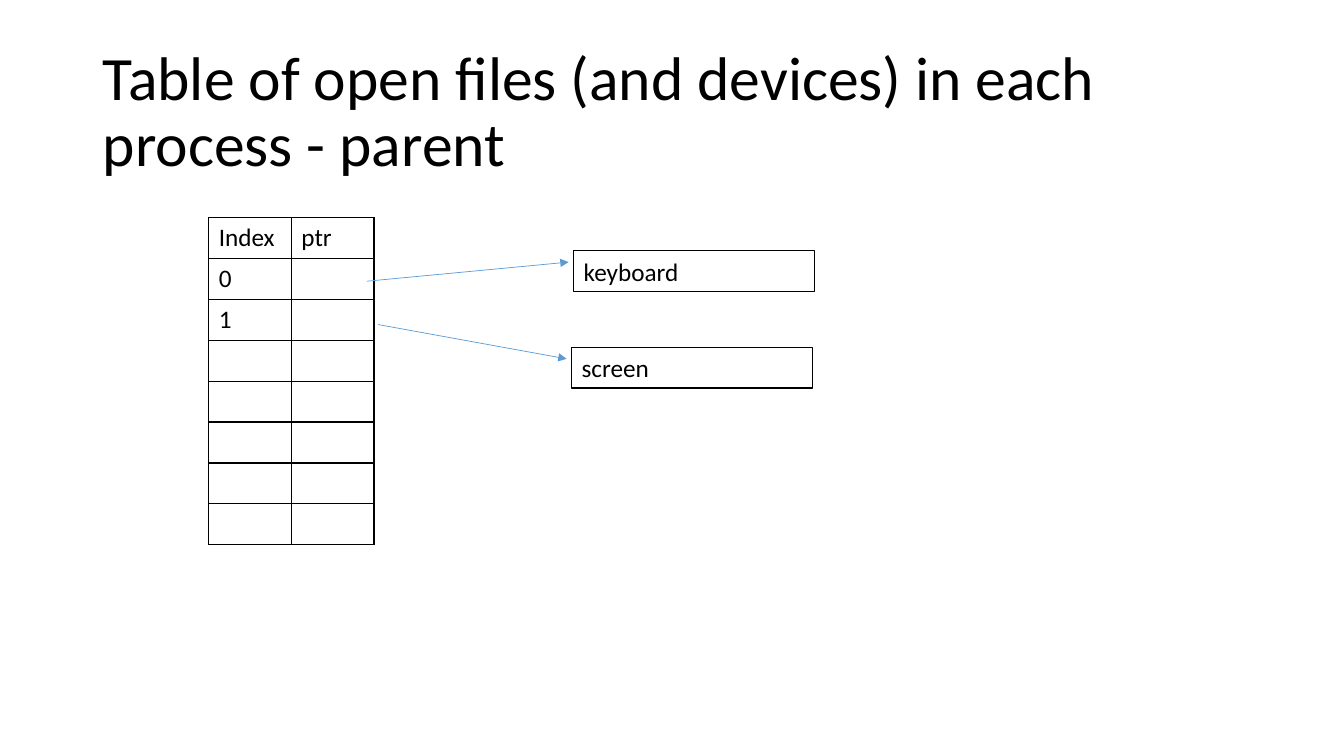
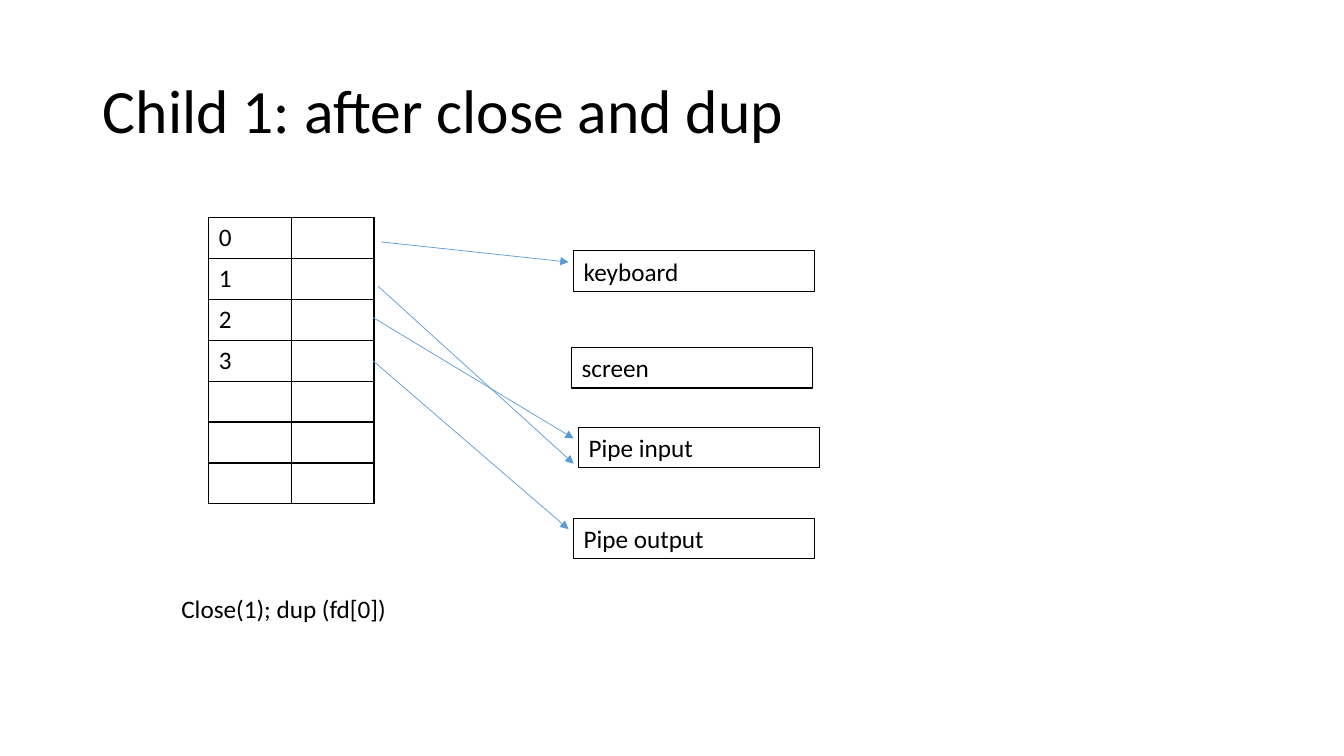
from lxml import etree
from pptx import Presentation
from pptx.dml.color import RGBColor
from pptx.enum.shapes import MSO_CONNECTOR, MSO_SHAPE
from pptx.enum.text import MSO_ANCHOR, MSO_AUTO_SIZE, PP_ALIGN
from pptx.oxml.ns import qn
from pptx.util import Inches, Pt

STRAIGHT = MSO_CONNECTOR.STRAIGHT
RECTANGLE = MSO_SHAPE.RECTANGLE
MIDDLE = MSO_ANCHOR.MIDDLE
LEFT = PP_ALIGN.LEFT
NO_FIT = MSO_AUTO_SIZE.NONE

COLOURS = {"ink": "000000", "arrow": "5B9BD5"}
FONT = "Calibri"
TITLE_SIZE, BODY_SIZE = 44, 18

TITLE_BOX = (0.92, 0.4, 11.5, 1.45)
TABLE_CORNER = (2.07, 2.16)
COLUMN_WIDTH, ROW_HEIGHT = 0.82, 0.405
TARGET_SIZE = (2.39, 0.4)
TARGET_CORNERS = {
    "keyboard": (5.69, 2.49),
    "screen": (5.67, 3.45),
    "Pipe input": (5.74, 4.24),
    "Pipe output": (5.69, 5.14),
}
ARROW_GAP = 0.05
ENTRY = 0.11  # usual height of an arrow tip below the top of its target


def colour(name):
    return RGBColor.from_string(COLOURS[name])


def write(frame, text, size=BODY_SIZE):
    para = frame.paragraphs[0]
    para.alignment = LEFT
    span = para.add_run()
    span.text = text
    span.font.name = FONT
    span.font.size = Pt(size)
    span.font.color.rgb = colour("ink")
    return para


def add_page(deck, title_text):
    page = deck.slides.add_slide(deck.slide_layouts[5])
    title = page.shapes.title
    title.left, title.top, title.width, title.height = map(Inches, TITLE_BOX)
    frame = title.text_frame
    frame.word_wrap = True
    frame.auto_size = NO_FIT
    frame.vertical_anchor = MIDDLE
    write(frame, title_text, TITLE_SIZE).line_spacing = 0.9
    return page


def outline_cell(cell):
    properties = cell._tc.get_or_add_tcPr()
    for side in ("a:lnL", "a:lnR", "a:lnT", "a:lnB"):
        line = etree.SubElement(properties, qn(side), w=str(Pt(1)))
        fill = etree.SubElement(line, qn("a:solidFill"))
        etree.SubElement(fill, qn("a:srgbClr"), val=COLOURS["ink"])


def add_file_table(page, corner, rows):
    left, top = corner
    columns = len(rows[0])
    table = page.shapes.add_table(
        len(rows), columns, Inches(left), Inches(top),
        Inches(columns * COLUMN_WIDTH), Inches(len(rows) * ROW_HEIGHT)).table
    table.first_row = False
    table.horz_banding = False
    for column in table.columns:
        column.width = Inches(COLUMN_WIDTH)
    for row_index, row in enumerate(rows):
        table.rows[row_index].height = Inches(ROW_HEIGHT)
        for column_index, text in enumerate(row):
            cell = table.cell(row_index, column_index)
            outline_cell(cell)
            cell.fill.background()
            if text:
                write(cell.text_frame, text)


def add_target(page, name, corner):
    box = page.shapes.add_shape(RECTANGLE, *map(Inches, corner + TARGET_SIZE))
    box.shadow.inherit = False
    box.fill.background()
    box.line.color.rgb = colour("ink")
    box.line.width = Pt(0.75)
    box.text_frame.word_wrap = True
    box.text_frame.vertical_anchor = MIDDLE
    write(box.text_frame, name)


def add_pointer(page, start, corner, entry):
    """Draw an arrow from start to just left of the target at corner."""
    tip = (corner[0] - ARROW_GAP, corner[1] + entry)
    arrow = page.shapes.add_connector(STRAIGHT, *map(Inches, start + tip))
    arrow.line.color.rgb = colour("arrow")
    arrow.line.width = Pt(0.5)
    etree.SubElement(arrow.line._get_or_add_ln(), qn("a:tailEnd"), type="triangle")
    etree.SubElement(arrow._element.spPr, qn("a:effectLst"))


def add_caption(page, box, text):
    frame = page.shapes.add_textbox(*map(Inches, box)).text_frame
    frame.word_wrap = True
    write(frame, text)


def add_process_page(deck, title, rows, targets, pointers):
    """Pointers are (start, target name, entry height) triples."""
    page = add_page(deck, title)
    add_file_table(page, TABLE_CORNER, rows)
    for name in targets:
        add_target(page, name, TARGET_CORNERS[name])
    for start, name, entry in pointers:
        add_pointer(page, start, TARGET_CORNERS[name], entry)
    return page


def main():
    deck = Presentation()
    deck.slide_width, deck.slide_height = Inches(13.33), Inches(7.5)
    blank = ("", "")

    add_process_page(
        deck, "Table of open files (and devices) in each process - parent",
        [("Index", "ptr"), ("0", ""), ("1", "")] + [blank] * 5,
        ["keyboard", "screen"],
        [((3.64, 2.79), "keyboard", ENTRY), ((3.75, 3.22), "screen", ENTRY)])

    child = add_process_page(
        deck, "Child 1: after close and dup",
        [(str(index), "") for index in range(4)] + [blank] * 3,
        list(TARGET_CORNERS),
        [((3.78, 2.4), "keyboard", ENTRY),
         ((3.75, 2.84), "Pipe input", 0.36),
         ((3.7, 3.15), "Pipe input", ENTRY),
         ((3.7, 3.58), "Pipe output", ENTRY)])
    add_caption(child, (1.7, 5.84, 6.21, 0.4), "Close(1); dup (fd[0])")

    deck.save("out.pptx")


if __name__ == "__main__":
    main()
